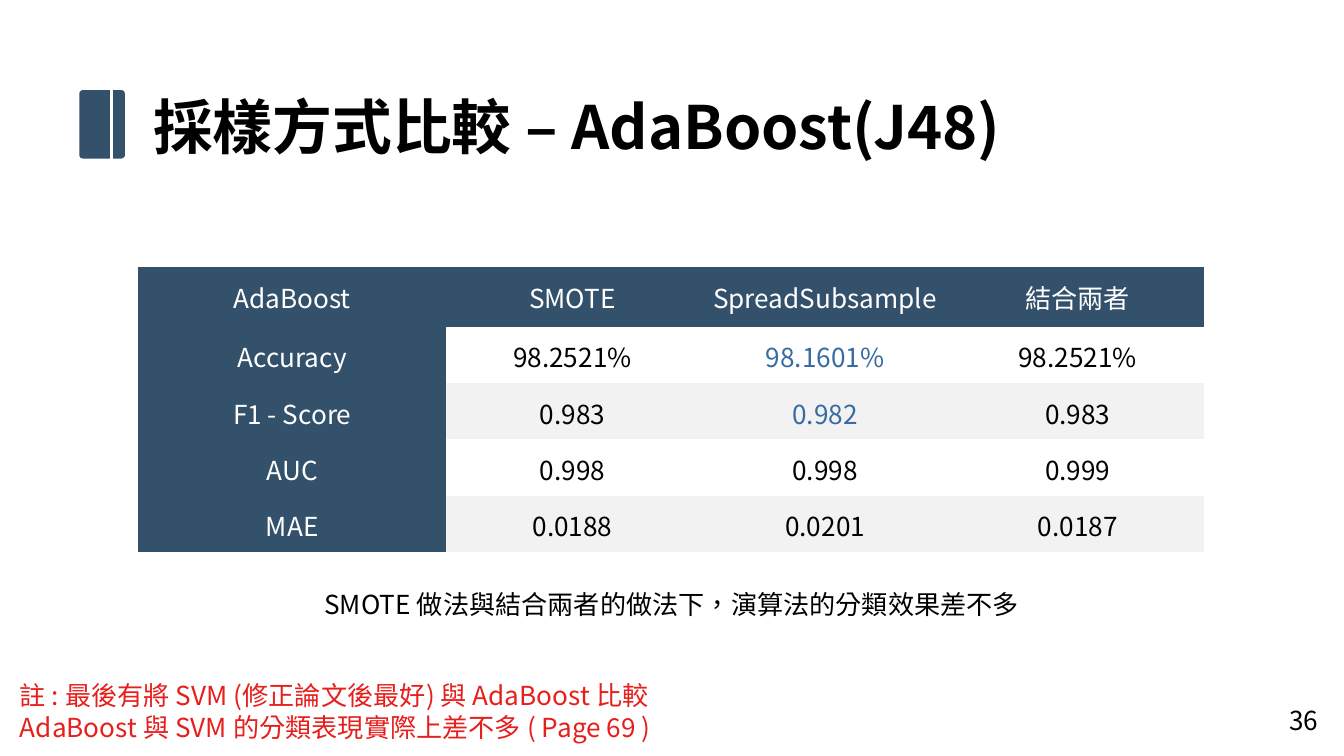
from dataclasses import dataclass

from lxml.etree import SubElement
from pptx import Presentation
from pptx.dml.color import RGBColor
from pptx.enum.lang import MSO_LANGUAGE_ID
from pptx.enum.shapes import MSO_CONNECTOR, MSO_SHAPE
from pptx.enum.text import MSO_ANCHOR, PP_ALIGN
from pptx.oxml.ns import qn
from pptx.util import Inches, Pt


@dataclass(frozen=True)
class Theme:
    font: str = "Noto Sans CJK JP"
    title_size: int = 32
    body_size: int = 14
    navy: str = "34516C"
    white: str = "FFFFFF"
    black: str = "000000"
    band: str = "F2F2F2"
    highlight: str = "376BA2"
    red: str = "E71F1C"
    plain_table: str = "{2D5ABB26-0587-4C30-8999-92F81FD0307C}"


class SlideBuilder:
    def __init__(self, slide, theme):
        self.slide = slide
        self.theme = theme

    def style(self, paragraph, words, color, size=None, bold=False, align=PP_ALIGN.LEFT):
        paragraph.alignment = align
        run = paragraph.add_run()
        run.text = words
        run.font.color.rgb = RGBColor.from_string(color)
        formats = {
            "name": self.theme.font,
            "size": Pt(size or self.theme.body_size),
            "bold": bold,
            "language_id": MSO_LANGUAGE_ID.TRADITIONAL_CHINESE,
        }
        for name, value in formats.items():
            setattr(run.font, name, value)
        SubElement(run._r.get_or_add_rPr(), qn("a:ea"), typeface=self.theme.font)

    def text(self, lines, box, color, shapes=None, indent=0, **formats):
        holder = shapes if shapes is not None else self.slide.shapes
        frame = holder.add_textbox(*map(Inches, box)).text_frame
        frame.word_wrap = True
        for number, line in enumerate(lines):
            paragraph = frame.add_paragraph() if number else frame.paragraphs[0]
            if indent:
                paragraph._p.get_or_add_pPr().set("marL", str(Inches(indent)))
            self.style(paragraph, line, color, **formats)

    def block(self, shapes, box, color, corner):
        badge = shapes.add_shape(MSO_SHAPE.ROUNDED_RECTANGLE, *map(Inches, box))
        badge.adjustments[0] = corner
        badge.shadow.inherit = False
        badge.fill.solid()
        badge.fill.fore_color.rgb = RGBColor.from_string(color)
        badge.line.fill.background()

    def line(self, shapes, ends, color, width):
        stripe = shapes.add_connector(MSO_CONNECTOR.STRAIGHT, *map(Inches, ends))
        stripe.line.color.rgb = RGBColor.from_string(color)
        stripe.line.width = Pt(width)
        SubElement(stripe._element.spPr, qn("a:effectLst"))

    def heading(self, title):
        theme = self.theme
        shapes = self.slide.shapes.add_group_shape().shapes
        self.text([title], (1.04, 0.62, 8.41, 0.64), theme.black, shapes,
                  size=theme.title_size, bold=True)
        self.block(shapes, (0.59, 0.67, 0.34, 0.51), theme.navy, 0.08)
        self.line(shapes, (0.83, 0.6, 0.83, 1.28), theme.white, 2)

    def cell(self, cell, words, fill, color):
        cell.vertical_anchor = MSO_ANCHOR.MIDDLE
        for side in ("left", "top", "right", "bottom"):
            setattr(cell, f"margin_{side}", Inches(0.08))
        if fill:
            cell.fill.solid()
            cell.fill.fore_color.rgb = RGBColor.from_string(fill)
        else:
            cell.fill.background()
        self.style(cell.text_frame.paragraphs[0], words, color, align=PP_ALIGN.CENTER)

    def table(self, rows, box, widths, heights, highlighted):
        theme = self.theme
        table = self.slide.shapes.add_table(len(rows), len(rows[0]), *map(Inches, box)).table
        table.first_row = table.horz_banding = False
        table._tbl.tblPr.find(qn("a:tableStyleId")).text = theme.plain_table
        for column, width in zip(table.columns, widths):
            column.width = Inches(width)
        for row, height in zip(table.rows, heights):
            row.height = Inches(height)
        for r, values in enumerate(rows):
            for c, value in enumerate(values):
                if r == 0 or c == 0:
                    fill, color = theme.navy, theme.white
                else:
                    fill = theme.band if r % 2 == 0 else None
                    color = theme.highlight if (r, c) in highlighted else theme.black
                self.cell(table.cell(r, c), value, fill, color)


def main():
    deck = Presentation()
    deck.slide_width = Inches(10)
    deck.slide_height = deck.slide_width * 9 // 16
    theme = Theme()
    builder = SlideBuilder(deck.slides.add_slide(deck.slide_layouts[6]), theme)

    builder.heading("採樣方式比較 – AdaBoost(J48)")
    results = [
        ("AdaBoost", "SMOTE", "SpreadSubsample", "結合兩者"),
        ("Accuracy", "98.2521%", "98.1601%", "98.2521%"),
        ("F1 - Score", "0.983", "0.982", "0.983"),
        ("AUC", "0.998", "0.998", "0.999"),
        ("MAE", "0.0188", "0.0201", "0.0187"),
    ]
    builder.table(results, (1.03, 1.99, 7.93, 2.13), [2.29] + [1.88] * 3,
                  [0.44] + [0.42] * 4, {(1, 2), (2, 2)})
    builder.text(["36"], (9.4, 5.19, 0.6, 0.43), theme.black, align=PP_ALIGN.CENTER)
    builder.text(["SMOTE 做法與結合兩者的做法下，演算法的分類效果差不多"],
                 (0, 4.33, 10, 0.34), theme.black, align=PP_ALIGN.CENTER)
    remarks = ["註 : 最後有將 SVM (修正論文後最好) 與 AdaBoost 比較",
               "AdaBoost 與 SVM 的分類表現實際上差不多 ( Page 69 )"]
    builder.text(remarks, (-0.12, 5.01, 6.8, 0.57), theme.red, indent=0.17)

    deck.save("out.pptx")


if __name__ == "__main__":
    main()
